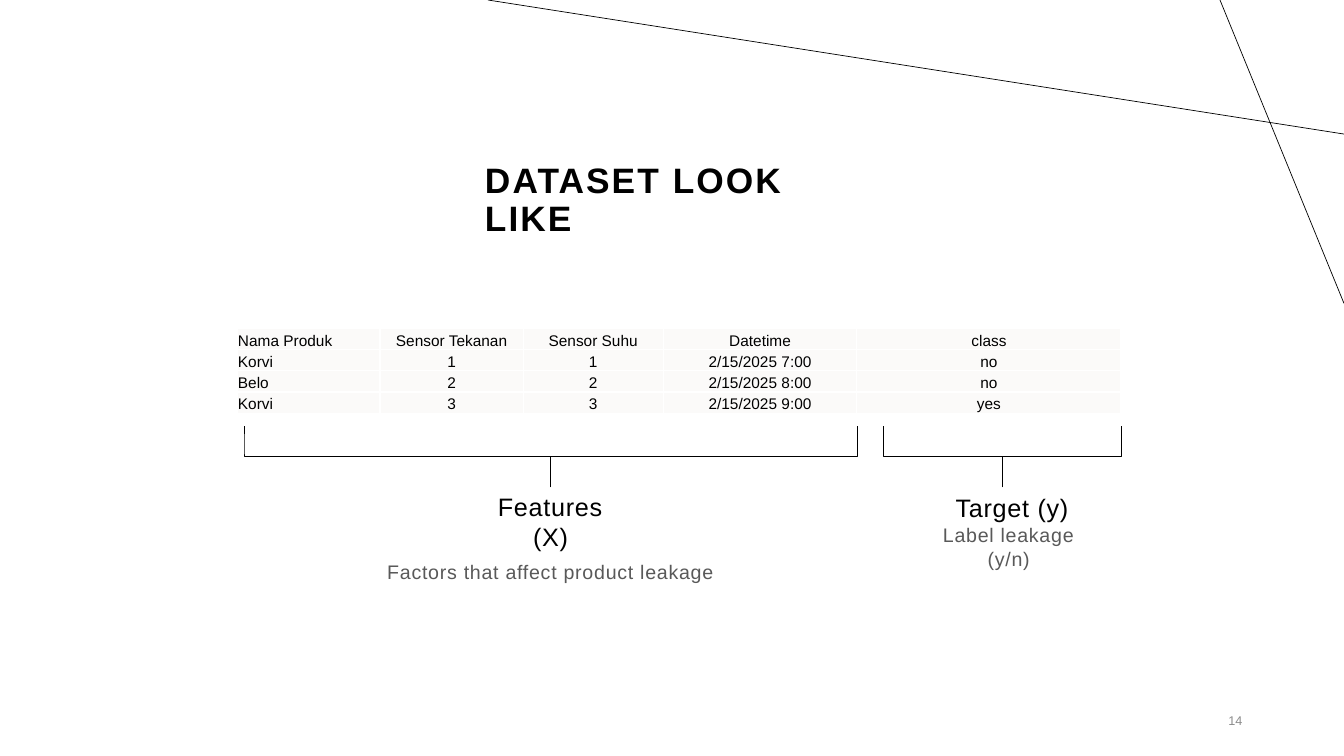
from lxml.etree import SubElement
from pptx import Presentation
from pptx.dml.color import RGBColor
from pptx.enum.shapes import MSO_CONNECTOR, MSO_SHAPE
from pptx.enum.text import MSO_ANCHOR, MSO_AUTO_SIZE, PP_ALIGN
from pptx.oxml.ns import qn
from pptx.util import Inches, Pt


def color(hex_string):
    return RGBColor.from_string(hex_string)


def write_text(frame, text, size=11, fill="000000", bold=False, align=PP_ALIGN.LEFT, spacing=0):
    frame.word_wrap = True
    paragraph = frame.paragraphs[0]
    paragraph.alignment = align
    run = paragraph.add_run()
    run.text = text
    run.font.name = "Arial"
    run.font.size = Pt(size)
    run.font.bold = bold
    run.font.color.rgb = color(fill)
    run._r.get_or_add_rPr().set("spc", str(int(spacing * 100)))
    return paragraph


presentation = Presentation()
presentation.slide_width = Inches(13.33)
presentation.slide_height = Inches(7.5)
slide = presentation.slides.add_slide(presentation.slide_layouts[5])

# Corner lines
for x1, y1, x2, y2 in [(13.33, 1.33, 4.84, 0), (12.1, 0, 13.33, 3.01)]:
    line = slide.shapes.add_connector(
        MSO_CONNECTOR.STRAIGHT, Inches(x1), Inches(y1), Inches(x2), Inches(y2))
    line.line.color.rgb = color("000000")
    line.line.width = Pt(0.5)
    SubElement(line._element.spPr, qn("a:effectLst"))

# Title
title = slide.shapes.title
title.left, title.top = Inches(4.71), Inches(1.9)
title.width, title.height = Inches(3.63), Inches(0.52)
title.text_frame.auto_size = MSO_AUTO_SIZE.NONE
title.text_frame.vertical_anchor = MSO_ANCHOR.BOTTOM
heading = write_text(title.text_frame, "DATASET LOOK LIKE", size=25.2, bold=True, spacing=1.5)
heading.line_spacing = 0.9

# Dataset table
rows = [
    ["Nama Produk", "Sensor Tekanan", "Sensor Suhu", "Datetime", "class"],
    ["Korvi", "1", "1", "2/15/2025 7:00", "no"],
    ["Belo", "2", "2", "2/15/2025 8:00", "no"],
    ["Korvi", "3", "3", "2/15/2025 9:00", "yes"],
]
column_widths = [1.42, 1.42, 1.39, 1.92, 2.62]
table = slide.shapes.add_table(
    len(rows), len(column_widths), Inches(2.35), Inches(3.26), Inches(8.76), Inches(0.83)).table
table.first_row = table.horz_banding = False
for column, width in zip(table.columns, column_widths):
    column.width = Inches(width)
for row_index, row in enumerate(rows):
    table.rows[row_index].height = Inches(0.21)
    for column_index, text in enumerate(row):
        cell = table.cell(row_index, column_index)
        cell.margin_left = cell.margin_right = cell.margin_top = Inches(0.01)
        cell.margin_bottom = 0
        cell.vertical_anchor = MSO_ANCHOR.BOTTOM
        write_text(cell.text_frame, text, align=PP_ALIGN.CENTER if column_index else PP_ALIGN.LEFT)
        properties = cell._tc.get_or_add_tcPr()
        for side in ("lnL", "lnR", "lnT", "lnB"):
            border = SubElement(properties, qn(f"a:{side}"), w=str(Pt(1)))
            SubElement(SubElement(border, qn("a:solidFill")), qn("a:srgbClr"), val="FFFFFF")
        cell.fill.solid()
        cell.fill.fore_color.rgb = color("FBFAF9")

# Brackets under the feature and target columns
for left, top, length in [(5.16, 1.49, 6.08), (9.64, 3.35, 2.36)]:
    bracket = slide.shapes.add_shape(
        MSO_SHAPE.RIGHT_BRACE, Inches(left), Inches(top), Inches(0.6), Inches(length))
    bracket.rotation = 90
    bracket.adjustments[0] = 0
    bracket.adjustments[1] = 0.5
    bracket.shadow.inherit = False
    bracket.fill.background()
    bracket.line.color.rgb = color("000000")
    bracket.line.width = Pt(0.5)

# Bracket labels
labels = [
    ("Features (X)", 4.65, 4.87, 1.62, 0.4, 18, "000000", PP_ALIGN.CENTER),
    ("Factors that affect product leakage", 2.42, 5.55, 6.08, 0.6, 14, "595959", PP_ALIGN.CENTER),
    ("Target (y)", 9.38, 4.88, 1.7, 0.4, 18, "000000", PP_ALIGN.LEFT),
    ("Label leakage (y/n)", 9.08, 5.19, 1.85, 0.25, 14, "595959", PP_ALIGN.CENTER),
]
for text, left, top, width, height, size, fill, align in labels:
    label = slide.shapes.add_textbox(Inches(left), Inches(top), Inches(width), Inches(height))
    label.text_frame.margin_top = 0
    write_text(label.text_frame, text, size=size, fill=fill, align=align, spacing=0.5)

# Slide number
number = slide.shapes.add_textbox(Inches(11.34), Inches(6.95), Inches(1.08), Inches(0.4))
number.text_frame.vertical_anchor = MSO_ANCHOR.MIDDLE
write_text(number.text_frame, "14", size=9, fill="8C8C8C", align=PP_ALIGN.RIGHT)

presentation.save("out.pptx")
